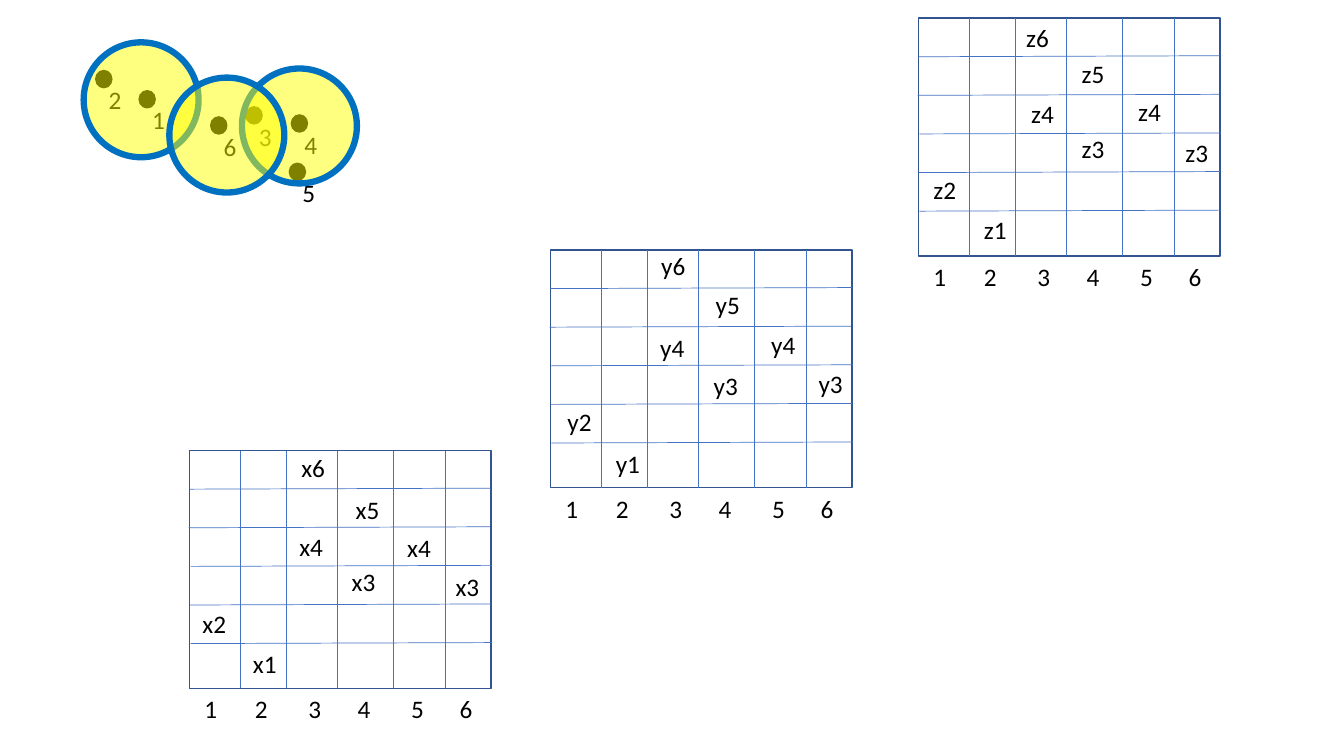
from dataclasses import dataclass
from lxml import etree
from pptx import Presentation
from pptx.dml.color import RGBColor as RGB
from pptx.enum.shapes import MSO_CONNECTOR as Link, MSO_SHAPE as Form
from pptx.enum.text import MSO_AUTO_SIZE as Fit
from pptx.oxml.ns import qn
from pptx.util import Inches, Pt


@dataclass(frozen=True)
class Theme:
    font: str = "Calibri"
    size: int = 18
    ink: str = "000000"
    disc: str = "FFFF00"
    ring: str = "0070C0"
    frame: str = "325491"
    rule: str = "4472C4"


THEME = Theme()
DOT = (0.16, 0.17)
DISC = (1.14, 1.14)
GRID = (2.99, 2.36)
COLS = (0.5, 0.96, 1.47, 2.02, 2.54)
ROW = 0.383
SHIFTS = (0, -0.01, 0.01, 0, 0.01)
MARKS = (0.05, 0.55, 1.08, 1.57, 2.1, 2.58)

DOTS = (("6", 2.09, 1.16), ("4", 2.89, 1.14), ("3", 2.44, 1.06),
        ("5", 2.87, 1.62), ("2", 0.95, 0.7), ("1", 1.38, 0.9))
DISCS = ((2.4, 0.68), (0.83, 0.42), (1.68, 0.77))
RANKS = (2, 1, 6, 3, 5, 4, 4, 3)
GRIDS = (
    ("x", 1.88, 4.47, ((1.91, 5.99), (2.41, 6.38), (2.89, 4.44), (3.39, 5.57),
                       (3.43, 4.86), (2.87, 5.22), (3.94, 5.23), (4.42, 5.62))),
    ("y", 5.46, 2.48, ((5.53, 3.98), (6.01, 4.4), (6.46, 2.43), (6.98, 3.62),
                       (7, 2.82), (6.45, 3.25), (7.55, 3.22), (8.02, 3.6))),
    ("z", 9.11, 0.18, ((9.16, 1.68), (9.66, 2.08), (10.08, 0.17), (10.63, 1.27),
                       (10.63, 0.53), (10.13, 0.93), (11.19, 0.91), (11.66, 1.31))),
)


def add_form(shapes, kind, left, top, size, line, width, fill=None):
    form = shapes.add_shape(kind, Inches(left), Inches(top), *map(Inches, size))
    form.shadow.inherit = False
    if fill:
        form.fill.solid()
        form.fill.fore_color.rgb = RGB.from_string(fill)
    else:
        form.fill.background()
    form.line.color.rgb = RGB.from_string(line)
    form.line.width = Pt(width)
    return form


def add_text(shapes, text, left, top, width, wrap):
    box = shapes.add_textbox(Inches(left), Inches(top), Inches(width), Inches(0.4))
    frame = box.text_frame
    frame.word_wrap = wrap
    frame.auto_size = Fit.SHAPE_TO_FIT_TEXT
    par = frame.paragraphs[0]
    par.text = text
    par.font.name = THEME.font
    par.font.size = Pt(THEME.size)
    par.font.color.rgb = RGB.from_string(THEME.ink)


def add_line(shapes, *ends):
    line = shapes.add_connector(Link.STRAIGHT, *map(Inches, ends))
    line.line.color.rgb = RGB.from_string(THEME.rule)
    line.line.width = Pt(0.5)
    etree.SubElement(line._element.spPr, qn("a:effectLst"))


def add_dot(slide, text, left, top):
    shapes = slide.shapes.add_group_shape().shapes
    add_form(shapes, Form.OVAL, left, top, DOT, THEME.ink, 1, THEME.ink)
    add_text(shapes, text, left + 0.03, top + 0.09, 0.26, True)


def add_disc(slide, left, top):
    disc = add_form(slide.shapes, Form.OVAL, left, top, DISC, THEME.ring, 4.5, THEME.disc)
    color = disc._element.spPr.find(qn("a:solidFill"))[0]
    etree.SubElement(color, qn("a:alpha"), val="50000")


def add_grid(slide, left, top):
    shapes = slide.shapes.add_group_shape().shapes
    wide, high = GRID
    add_form(shapes, Form.RECTANGLE, left, top, GRID, THEME.frame, 1)
    for col in COLS:
        add_line(shapes, left + col, top, left + col, top + high)
    for row, shift in enumerate(SHIFTS, 1):
        start, level = left + shift, top + row * ROW
        add_line(shapes, start, level, start + wide, level - 0.01)
    for num, mark in enumerate(MARKS, 1):
        add_text(shapes, str(num), left + mark, top + high, 0.37, True)


def main():
    deck = Presentation()
    deck.slide_width, deck.slide_height = Inches(13.33), Inches(7.5)
    slide = deck.slides.add_slide(deck.slide_layouts[6])
    for dot in DOTS:
        add_dot(slide, *dot)
    for disc in DISCS:
        add_disc(slide, *disc)
    for name, left, top, spots in GRIDS:
        add_grid(slide, left, top)
        for rank, spot in zip(RANKS, spots):
            add_text(slide.shapes, f"{name}{rank}", *spot, 0.44, False)
    deck.save("out.pptx")


if __name__ == "__main__":
    main()
